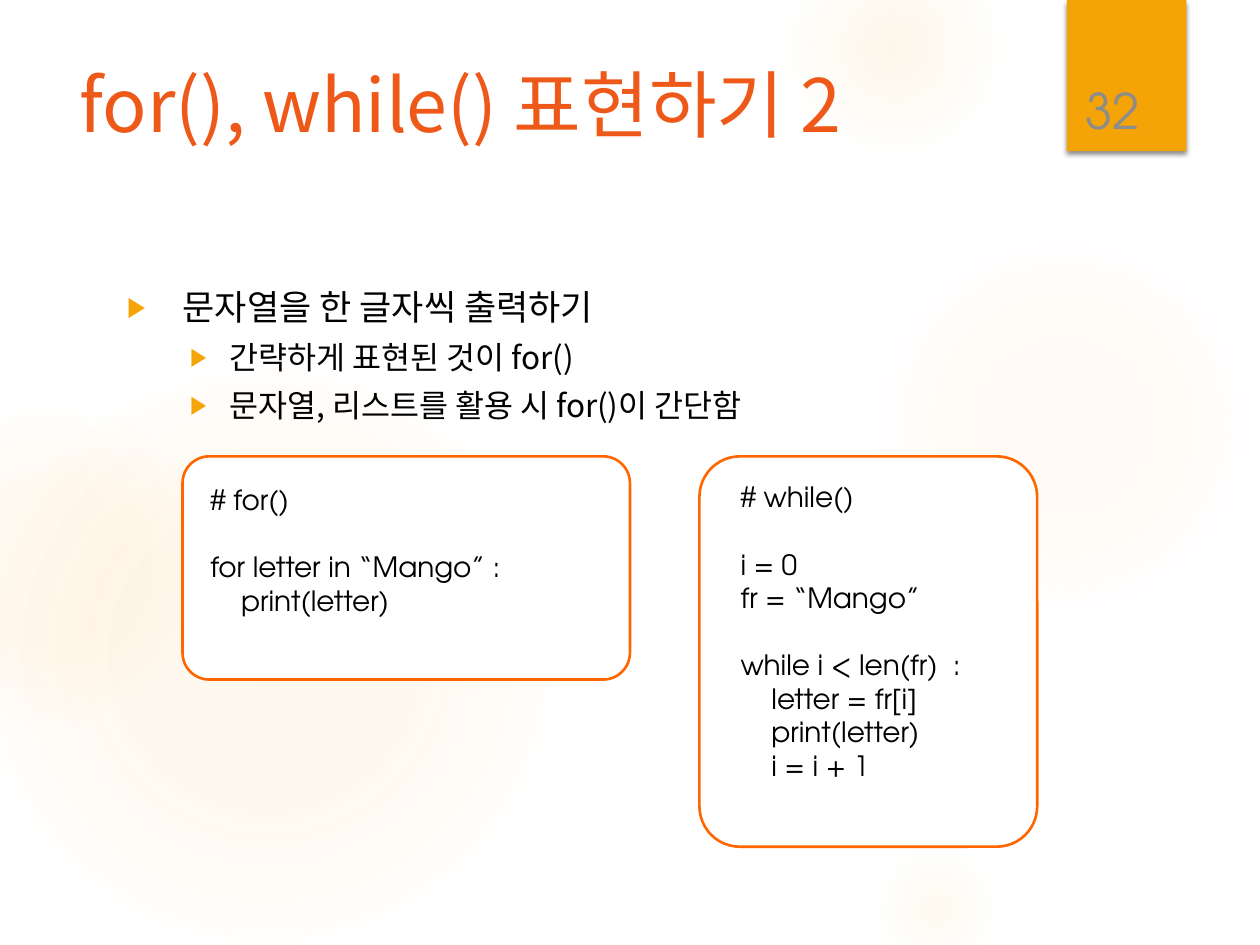
from dataclasses import dataclass

from lxml.etree import SubElement
from pptx import Presentation
from pptx.dml.color import RGBColor
from pptx.enum.shapes import MSO_SHAPE
from pptx.enum.text import MSO_ANCHOR, MSO_AUTO_SIZE, PP_ALIGN
from pptx.oxml import parse_xml
from pptx.oxml.ns import nsdecls, qn
from pptx.util import Cm, Pt


@dataclass(frozen=True)
class Theme:
    accent: str = "F5A408"
    glow: str = "FAC96A"
    title: str = "EE5818"
    frame: str = "FF6600"
    ink: str = "000000"
    paper: str = "FFFFFF"
    number: str = "8C8C8C"
    korean: str = "Noto Sans CJK KR"
    latin: str = "TeX Gyre Adventor"
    title_size: int = 42
    number_size: int = 28
    list_sizes: tuple = (20, 18)
    code_size: int = 16


THEME = Theme()


@dataclass(frozen=True)
class Box:
    left: float
    top: float
    width: float
    height: float

    def emu(self) -> tuple:
        return Cm(self.left), Cm(self.top), Cm(self.width), Cm(self.height)


@dataclass(frozen=True)
class Glow:
    left: float
    top: float
    size: float
    stops: tuple  # (position %, opacity %)


@dataclass(frozen=True)
class Code:
    frame: Box
    text: Box
    blocks: tuple  # groups of lines, one line apart


GLOWS = (
    Glow(17.5, 4.65, 7.82, ((0, 7), (36, 6), (69, 0))),
    Glow(15.8, -1.27, 4.45, ((0, 14), (36, 7), (73, 0))),
    Glow(17.5, 16.94, 2.74, ((0, 10), (31, 5), (66, 0))),
    Glow(-0.43, 7.42, 11.63, ((0, 11), (36, 10), (75, 0))),
    Glow(-2.34, 8.05, 6.55, ((0, 8), (36, 8), (72, 0))),
)

POINTS = (
    (0, "문자열을 한 글자씩 출력하기"),
    (1, "간략하게 표현된 것이 for()"),
    (1, "문자열, 리스트를 활용 시 for()이 간단함"),
)
INDENTS = ((1.12, -1.12), (2.06, -0.79))  # margin and hang by level

CODES = (
    Code(Box(3.68, 9.2, 9.02, 4.5), Box(3.99, 9.6, 7.87, 3),
         (("# for()",),
          ("for letter in “Mango” :", "    print(letter)"))),
    Code(Box(14.1, 9.2, 6.81, 7.87), Box(14.68, 9.55, 6.2, 6.4),
         (("# while()",),
          ("i = 0", "fr = “Mango”"),
          ("while i < len(fr)  :", "    letter = fr[i]",
           "    print(letter)", "    i = i + 1"))),
)


def rgb(color: str) -> RGBColor:
    return RGBColor.from_string(color)


def write(par, text: str, *, size: int, color: str, font: str,
          align=PP_ALIGN.LEFT, before: float = 0, spacing: float = 1.0) -> None:
    """Put one formatted run into a paragraph."""
    par.alignment = align
    par.space_before = Pt(before)
    par.line_spacing = spacing
    run = par.add_run()
    run.text = text
    run.font.size = Pt(size)
    run.font.color.rgb = rgb(color)
    run.font.name = font
    SubElement(run.font._element, qn("a:ea")).set("typeface", font)


def setup(holder, box: Box, anchor=MSO_ANCHOR.TOP):
    """Place a text holder and return its frame."""
    holder.left, holder.top, holder.width, holder.height = box.emu()
    frame = holder.text_frame
    frame.word_wrap = True
    frame.auto_size = MSO_AUTO_SIZE.NONE
    frame.vertical_anchor = anchor
    return frame


def lines(frame):
    """Yield the first paragraph, then new ones."""
    yield frame.paragraphs[0]
    while True:
        yield frame.add_paragraph()


def shape(slide, kind, box: Box, fill: str, line: str = ""):
    item = slide.shapes.add_shape(kind, *box.emu())
    item.shadow.inherit = False
    item.fill.solid()
    item.fill.fore_color.rgb = rgb(fill)
    if line:
        item.line.color.rgb = rgb(line)
        item.line.width = Pt(1.5)
    else:
        item.line.fill.background()
    return item


def draw_glow(slide, glow: Glow) -> None:
    box = Box(glow.left, glow.top, glow.size, glow.size)
    props = shape(slide, MSO_SHAPE.OVAL, box, THEME.glow)._element.spPr
    stops = "".join(
        f'<a:gs pos="{pos * 1000}"><a:srgbClr val="{THEME.glow}">'
        f'<a:alpha val="{alpha * 1000}"/></a:srgbClr></a:gs>'
        for pos, alpha in glow.stops)
    fade = parse_xml(
        f'<a:gradFill {nsdecls("a")}><a:gsLst>{stops}</a:gsLst>'
        '<a:path path="circle"><a:fillToRect l="50000" t="50000" '
        'r="50000" b="50000"/></a:path></a:gradFill>')
    props.replace(props.find(qn("a:solidFill")), fade)


def draw_tab(slide) -> None:
    tab = shape(slide, MSO_SHAPE.RECTANGLE, Box(21.51, 0, 2.41, 3.05), THEME.accent)
    tab._element.spPr.find(qn("a:effectLst")).append(parse_xml(
        f'<a:outerShdw {nsdecls("a")} blurRad="{Pt(3)}" dist="{Pt(2)}" '
        'dir="5400000" rotWithShape="0"><a:srgbClr val="000000">'
        '<a:alpha val="45000"/></a:srgbClr></a:outerShdw>'))


def add_bullet(par, level: int) -> None:
    par.level = level
    props = par._p.get_or_add_pPr()
    margin, hang = INDENTS[level]
    props.set("marL", str(Cm(margin)))
    props.set("indent", str(Cm(hang)))
    tint = SubElement(props, qn("a:buClr"))
    SubElement(tint, qn("a:srgbClr")).set("val", THEME.accent)
    SubElement(props, qn("a:buSzPct")).set("val", "80000")
    SubElement(props, qn("a:buChar")).set("char", "▶")


def draw_code(slide, code: Code) -> None:
    frame = shape(slide, MSO_SHAPE.ROUNDED_RECTANGLE, code.frame,
                  THEME.paper, THEME.frame)
    frame.adjustments[0] = 0.12
    text = setup(slide.shapes.add_textbox(*code.text.emu()), code.text)
    pars = lines(text)
    for block, rows in enumerate(code.blocks):
        for row, line in enumerate(rows):
            gap = 1.2 * THEME.code_size if block and not row else 0
            write(next(pars), line, size=THEME.code_size, color=THEME.ink,
                  font=THEME.latin, before=gap)


def main() -> None:
    deck = Presentation()
    deck.slide_width, deck.slide_height = Cm(25.4), Cm(19.05)
    slide = deck.slides.add_slide(deck.slide_layouts[1])
    title, body = slide.placeholders

    # Backdrop
    for glow in GLOWS:
        draw_glow(slide, glow)
    draw_tab(slide)

    # Title and list, raised above the backdrop
    for holder in (title, body):
        slide.shapes._spTree.append(holder._element)
    head = setup(title, Box(1.35, 1.27, 19.61, 3.89))
    write(head.paragraphs[0], "for(), while() 표현하기 2", size=THEME.title_size,
          color=THEME.title, font=THEME.korean, spacing=0.9)
    pars = lines(setup(body, Box(2.31, 5.72, 18.64, 11.66)))
    for index, (level, text) in enumerate(POINTS):
        par = next(pars)
        add_bullet(par, level)
        write(par, text, size=THEME.list_sizes[level], color=THEME.ink,
              font=THEME.korean, before=8 if index else 0, spacing=0.9)

    # Code panels
    for code in CODES:
        draw_code(slide, code)

    # Slide number
    box = Box(21.56, 0.81, 1.75, 2.13)
    mark = setup(slide.shapes.add_textbox(*box.emu()), box, MSO_ANCHOR.BOTTOM)
    write(mark.paragraphs[0], "32", size=THEME.number_size, color=THEME.number,
          font=THEME.latin, align=PP_ALIGN.CENTER)

    deck.save("out.pptx")


if __name__ == "__main__":
    main()
